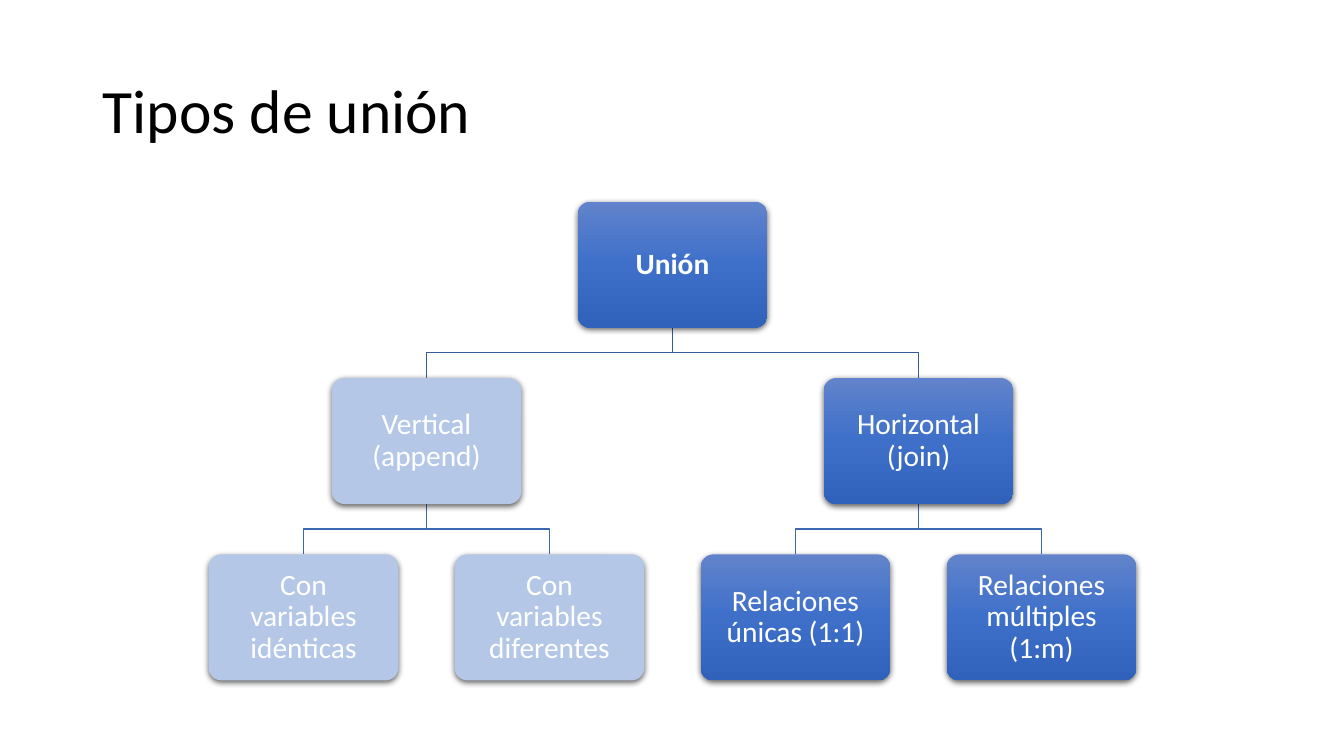
from copy import deepcopy
from dataclasses import dataclass

from lxml.etree import SubElement
from pptx import Presentation
from pptx.dml.color import RGBColor
from pptx.enum.shapes import MSO_SHAPE
from pptx.enum.text import MSO_ANCHOR, PP_ALIGN
from pptx.oxml.ns import qn
from pptx.util import Inches, Pt


@dataclass(frozen=True)
class Theme:
    font: str = "Calibri"
    title_size: int = 44
    node_size: int = 21
    title_color: str = "000000"
    node_text: str = "FFFFFF"
    pale: str = "B4C7E7"
    gradient: tuple = ("6183CB", "3E70CA", "3062BB")
    shadow: str = "000000"
    branch_lines: tuple = ("365B9D", "3E67B2")


THEME = Theme()
CENTER_X, TOP_Y = 6.67, 2
NODE_WIDTH, NODE_HEIGHT = 1.88, 1.25
COLUMN_STEP, LEVEL_STEP = 2.44, 1.75
BRANCH_DROP = (LEVEL_STEP - NODE_HEIGHT) / 2

UNION_TREE = ("Unión", 0, False, [
    ("Vertical (append)", -1, True, [
        ("Con variables idénticas", -1.5, True, []),
        ("Con variables diferentes", -0.5, True, []),
    ]),
    ("Horizontal (join)", 1, False, [
        ("Relaciones únicas (1:1)", 0.5, False, []),
        ("Relaciones múltiples (1:m)", 1.5, False, []),
    ]),
])


def column_x(column):
    return CENTER_X + column * COLUMN_STEP


def level_y(level):
    return TOP_Y + level * LEVEL_STEP


def format_text(paragraph, size, color, bold=False):
    paragraph.line_spacing = 0.9
    for run in paragraph.runs:
        run.font.name = THEME.font
        run.font.size = Pt(size)
        run.font.bold = bold
        run.font.color.rgb = RGBColor.from_string(color)


def add_title(slide, wording):
    title = slide.shapes.title
    title.left, title.top = Inches(0.92), Inches(0.4)
    title.width, title.height = Inches(11.5), Inches(1.45)
    title.text_frame.text = wording
    title.text_frame.vertical_anchor = MSO_ANCHOR.MIDDLE
    heading = title.text_frame.paragraphs[0]
    heading.alignment = PP_ALIGN.LEFT
    format_text(heading, THEME.title_size, THEME.title_color)


def fill_gradient(node):
    node.fill.gradient()
    node.fill.gradient_angle = 270
    stop_list = node.element.spPr.find(qn("a:gradFill")).find(qn("a:gsLst"))
    stop_list.append(deepcopy(stop_list[0]))
    for index, (stop, color) in enumerate(zip(node.fill.gradient_stops, THEME.gradient)):
        stop.position = index / 2
        stop.color.rgb = RGBColor.from_string(color)


def add_shadow(node):
    node.shadow.inherit = False
    effects = node.element.spPr.find(qn("a:effectLst"))
    outer = SubElement(effects, qn("a:outerShdw"), blurRad=str(Pt(4.5)),
                       dist=str(Pt(1.5)), dir="5400000", algn="ctr", rotWithShape="0")
    tone = SubElement(outer, qn("a:srgbClr"), val=THEME.shadow)
    SubElement(tone, qn("a:alpha"), val="63000")


def add_node(slide, wording, column, level, pale):
    node = slide.shapes.add_shape(
        MSO_SHAPE.ROUNDED_RECTANGLE,
        Inches(column_x(column) - NODE_WIDTH / 2), Inches(level_y(level)),
        Inches(NODE_WIDTH), Inches(NODE_HEIGHT))
    node.adjustments[0] = 0.1
    if pale:
        node.fill.solid()
        node.fill.fore_color.rgb = RGBColor.from_string(THEME.pale)
    else:
        fill_gradient(node)
    node.line.fill.background()
    add_shadow(node)
    frame = node.text_frame
    frame.word_wrap = True
    frame.vertical_anchor = MSO_ANCHOR.MIDDLE
    frame.margin_left = frame.margin_right = Inches(0.12)
    frame.margin_top = frame.margin_bottom = Inches(0.12)
    frame.text = wording
    label = frame.paragraphs[0]
    label.alignment = PP_ALIGN.CENTER
    format_text(label, THEME.node_size, THEME.node_text, bold=level == 0)


def add_branch(slide, parent_column, child_column, level):
    parent_x, child_x = Inches(column_x(parent_column)), Inches(column_x(child_column))
    start_y = Inches(level_y(level) + NODE_HEIGHT)
    bend_y = start_y + Inches(BRANCH_DROP)
    builder = slide.shapes.build_freeform(parent_x, start_y)
    builder.add_line_segments(
        [(parent_x, bend_y), (child_x, bend_y), (child_x, Inches(level_y(level + 1)))],
        close=False)
    branch = builder.convert_to_shape()
    branch.shadow.inherit = False
    branch.fill.background()
    branch.line.width = Pt(1)
    branch.line.color.rgb = RGBColor.from_string(THEME.branch_lines[level])


def add_tree(slide, tree, level=0):
    wording, column, pale, children = tree
    for child in children:
        add_branch(slide, column, child[1], level)
    add_node(slide, wording, column, level, pale)
    for child in children:
        add_tree(slide, child, level + 1)


def main():
    presentation = Presentation()
    presentation.slide_width, presentation.slide_height = Inches(13.33), Inches(7.5)
    slide = presentation.slides.add_slide(presentation.slide_layouts.get_by_name("Title Only"))
    add_title(slide, "Tipos de unión")
    add_tree(slide, UNION_TREE)
    presentation.save("out.pptx")


if __name__ == "__main__":
    main()
